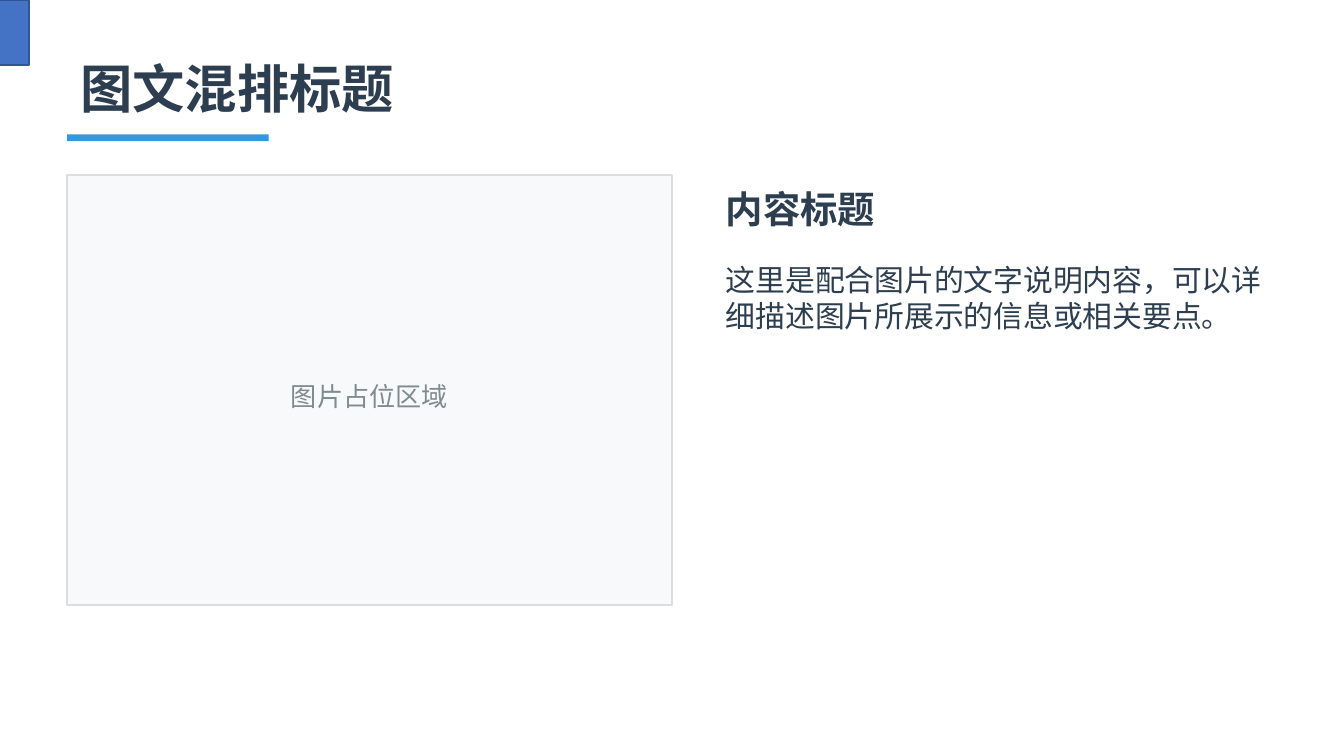
from dataclasses import dataclass
from typing import Optional

from lxml.etree import SubElement
from pptx import Presentation
from pptx.dml.color import RGBColor as RGB
from pptx.enum.shapes import MSO_SHAPE as Shape
from pptx.enum.text import MSO_ANCHOR as Anchor, MSO_AUTO_SIZE as AutoSize, PP_ALIGN as Align
from pptx.oxml.ns import qn
from pptx.util import Pt

PX = 4572  # 200 px to the inch
WIDTH, HEIGHT = 2000, 1125  # 16:9


@dataclass(frozen=True)
class Theme:
    font: str = "Calibri"
    ink: str = "2C3E50"
    muted: str = "7F8C8D"
    accent: str = "3498DB"
    panel: str = "F8F9FA"
    panel_line: str = "DDDDDD"
    tab: str = "4472C4"
    tab_line: str = "2F5597"
    title: int = 28
    heading: int = 20
    body: int = 16
    caption: int = 14


@dataclass(frozen=True)
class Box:
    left: int
    top: int
    width: int
    height: int

    def emu(self) -> tuple[int, ...]:
        return tuple(v * PX for v in (self.left, self.top, self.width, self.height))


@dataclass(frozen=True)
class Block:
    box: Box
    fill: str
    line: Optional[str] = None


@dataclass(frozen=True)
class Label:
    box: Box
    text: str
    size: int
    color: str
    bold: bool = False
    align: Align = Align.LEFT
    anchor: Anchor = Anchor.MIDDLE


T = Theme()
MARGIN, COLUMN = 100, 1060
COLUMN_WIDTH = WIDTH - MARGIN - COLUMN
PANEL = Box(MARGIN, 260, 900, 640)

BLOCKS = [
    Block(Box(-24, 0, 67, 97), T.tab, T.tab_line),  # corner tab
    Block(Box(MARGIN, 200, 300, 10), T.accent),  # title underline
    Block(PANEL, T.panel, T.panel_line),  # image area
]
TITLE = Label(Box(MARGIN, 60, WIDTH - 2 * MARGIN, 140), "图文混排标题",
              T.title, T.ink, bold=True)
HEADING = Label(Box(COLUMN, PANEL.top, COLUMN_WIDTH, 100), "内容标题",
                T.heading, T.ink, bold=True)
BODY = Label(Box(COLUMN, 380, COLUMN_WIDTH, 500),
             "这里是配合图片的文字说明内容，可以详细描述图片所展示的信息或相关要点。",
             T.body, T.ink, anchor=Anchor.TOP)
CAPTION = Label(Box(MARGIN, 540, PANEL.width, 100), "图片占位区域",
                T.caption, T.muted, align=Align.CENTER)


def set_all(obj: object, values: dict) -> None:
    for name, value in values.items():
        setattr(obj, name, value)


def draw_block(s, block: Block) -> None:
    sp = s.shapes.add_shape(Shape.RECTANGLE, *block.box.emu())
    sp.shadow.inherit = False
    sp.fill.solid()
    sp.fill.fore_color.rgb = RGB.from_string(block.fill)
    if block.line:
        sp.line.color.rgb = RGB.from_string(block.line)
        sp.line.width = Pt(1)
    else:
        sp.line.fill.background()


def write_label(sp, label: Label) -> None:
    set_all(sp, dict(zip(("left", "top", "width", "height"), label.box.emu())))
    tf = sp.text_frame
    set_all(tf, {"word_wrap": True, "auto_size": AutoSize.NONE,
                 "vertical_anchor": label.anchor})
    p = tf.paragraphs[0]
    set_all(p, {"alignment": label.align, "space_before": Pt(0)})
    # No bullet and no hanging indent
    pPr = p._p.get_or_add_pPr()
    pPr.set("marL", "0")
    pPr.set("indent", "0")
    SubElement(pPr, qn("a:buNone"))
    r = p.add_run()
    r.text = label.text
    set_all(r.font, {"name": T.font, "size": Pt(label.size), "bold": label.bold})
    r.font.color.rgb = RGB.from_string(label.color)


def main() -> None:
    prs = Presentation()
    set_all(prs, {"slide_width": WIDTH * PX, "slide_height": HEIGHT * PX})
    s = prs.slides.add_slide(prs.slide_layouts.get_by_name("Two Content"))

    # Tab, underline and image area
    for block in BLOCKS:
        draw_block(s, block)

    # Title and text column in the placeholders
    for sp, label in zip(s.placeholders, (TITLE, HEADING, BODY)):
        write_label(sp, label)

    # Caption over the image area
    write_label(s.shapes.add_textbox(*CAPTION.box.emu()), CAPTION)

    prs.save("out.pptx")


if __name__ == "__main__":
    main()
